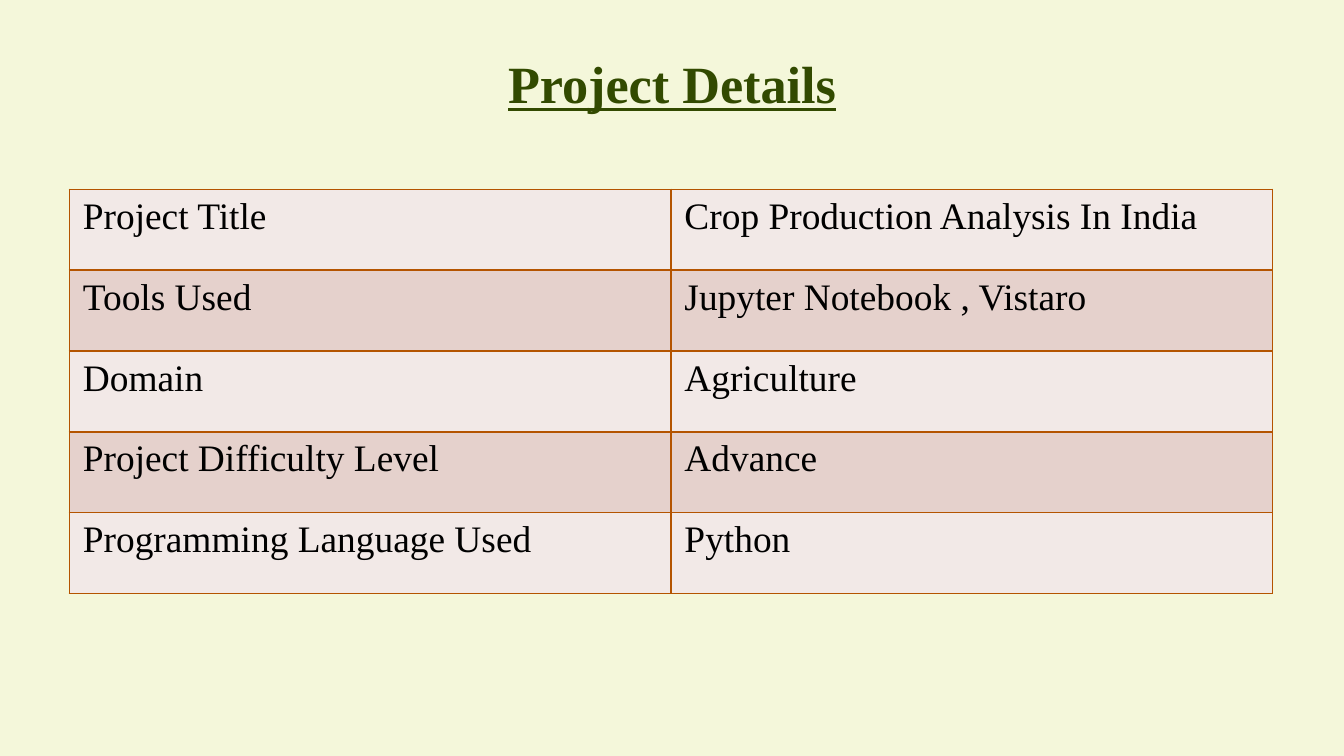
import pptx
import pptx.dml.color
import pptx.enum.text
import pptx.oxml
import pptx.oxml.ns
import pptx.util

Pt = pptx.util.Pt
COLORS = {
    "page": "F4F7DA",
    "title": "324A00",
    "text": "000000",
    "border": "B45400",
    "light": "F2E9E7",
    "dark": "E5D1CC",
}
DETAILS = [
    ("Project Title", "Crop Production Analysis In India"),
    ("Tools Used", "Jupyter Notebook , Vistaro"),
    ("Domain", "Agriculture"),
    ("Project Difficulty Level", "Advance"),
    ("Programming Language Used", "Python"),
]


def rgb(name):
    return pptx.dml.color.RGBColor.from_string(COLORS[name])


def write(frame, text, size=20, color="text", bold=False, underline=False, align="LEFT"):
    para = frame.paragraphs[0]
    para.alignment = getattr(pptx.enum.text.PP_ALIGN, align)
    span = para.add_run()
    span.text = text
    span.font.name = "Times New Roman"
    span.font.size = Pt(size)
    span.font.bold = bold
    span.font.underline = underline
    span.font.color.rgb = rgb(color)


class SlideBuilder:
    """Hold the style and the current page, and add each kind of element."""

    def __init__(self, deck):
        self.page = deck.slides.add_slide(deck.slide_layouts[6])
        self.page.background.fill.solid()
        self.page.background.fill.fore_color.rgb = rgb("page")

    def title(self, text, left, top, width, height):
        box = self.page.shapes.add_textbox(Pt(left), Pt(top), Pt(width), Pt(height))
        frame = box.text_frame
        frame.word_wrap = True
        frame.margin_top = Pt(11)
        write(frame, text, size=28, color="title", bold=True, underline=True, align="CENTER")

    def border(self, cell):
        properties = cell._tc.get_or_add_tcPr()
        for index, side in enumerate("LRTB"):
            line = pptx.oxml.parse_xml(
                f'<a:ln{side} {pptx.oxml.ns.nsdecls("a")} w="{Pt(1)}"><a:solidFill>'
                f'<a:srgbClr val="{COLORS["border"]}"/></a:solidFill></a:ln{side}>'
            )
            properties.insert(index, line)

    def table(self, rows, left, top, width, height):
        table = self.page.shapes.add_table(
            len(rows), len(rows[0]), Pt(left), Pt(top), Pt(width), Pt(height)
        ).table
        table.first_row = False
        for row_index, row in enumerate(rows):
            for column_index, text in enumerate(row):
                cell = table.cell(row_index, column_index)
                cell.fill.solid()
                cell.fill.fore_color.rgb = rgb("dark" if row_index % 2 else "light")
                self.border(cell)
                write(cell.text_frame, text)


def main():
    deck = pptx.Presentation()
    deck.slide_width, deck.slide_height = Pt(720), Pt(405)
    builder = SlideBuilder(deck)
    builder.title("Project Details", 240, 16.5, 240, 47)
    builder.table(DETAILS, 37.2, 101.5, 644.6, 216.5)
    deck.save("out.pptx")


if __name__ == "__main__":
    main()
